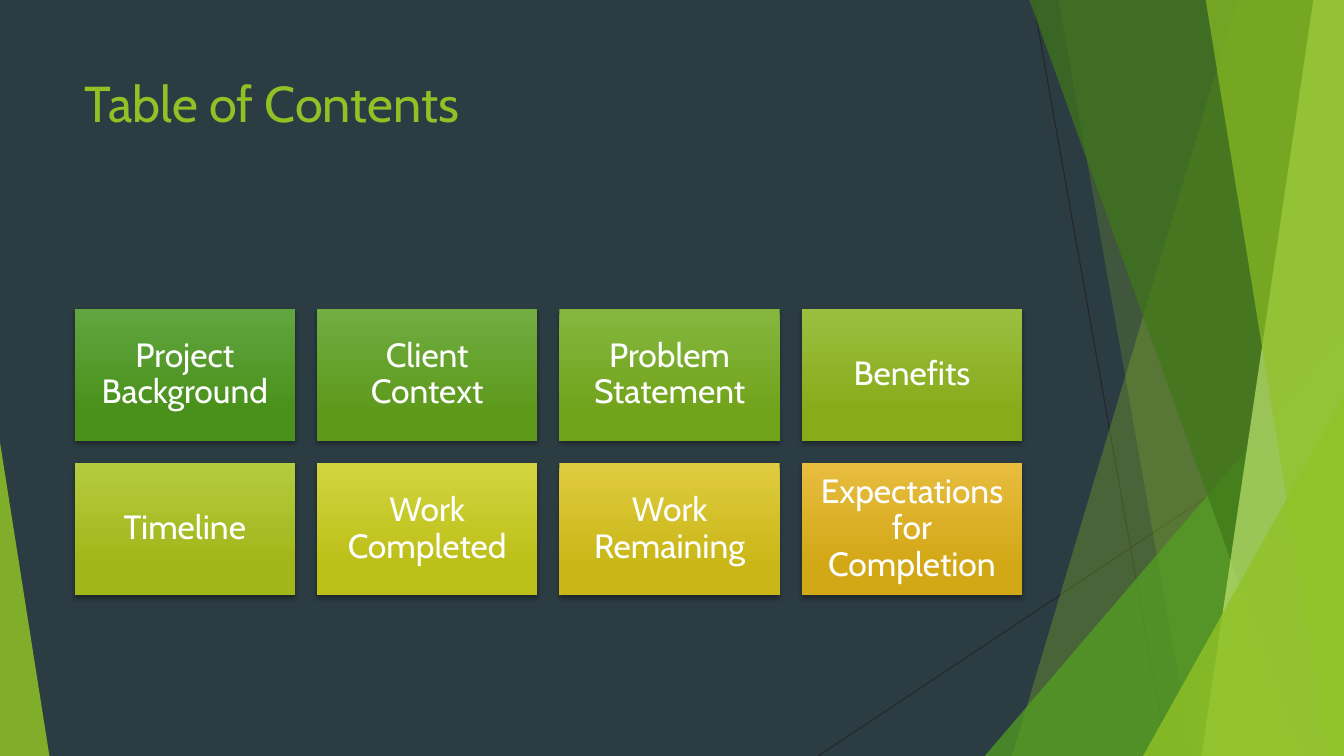
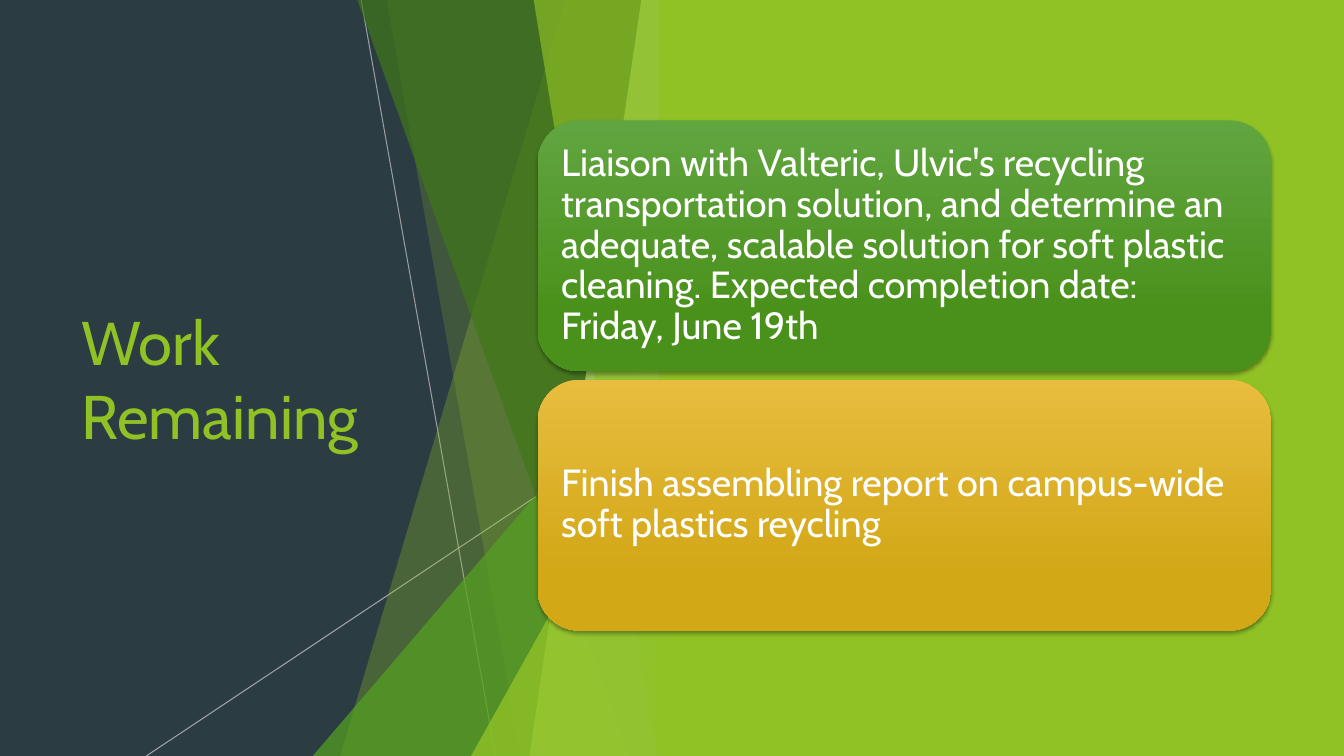
"""Build a contents slide and a remaining-work slide with shared green facets."""
from lxml.etree import SubElement
from pptx import Presentation
from pptx.dml.color import RGBColor
from pptx.enum.shapes import MSO_CONNECTOR, MSO_SHAPE
from pptx.enum.text import MSO_ANCHOR, MSO_AUTO_SIZE, PP_ALIGN
from pptx.oxml.ns import qn
from pptx.util import Pt

WIDTH, HEIGHT, BLEED = 960, 540, -0.6
FONT = "Cabin"
DARK, LIME, GREEN, FOREST, PALE = "2C3C43", "90C226", "54A021", "3F7818", "BFE471"
WHITE, GREY, BLACK = "FFFFFF", "BFBFBF", "262626"
GREEN_CARD, GOLD_CARD = ("61A540", "4A911B"), ("E8BC3E", "D2A817")

BANDS_BACK = [(884.2, 722.9, LIME, 30), (756, 851.8, LIME, 20)]
BANDS_FRONT = [(735.1, 929.5, FOREST, 70), (938.2, 858.2, PALE, 70), (861.1, 949, LIME, 65)]
RAYS = [(738, 0, 834, HEIGHT), (WIDTH, 290, 584.5, HEIGHT)]

TILES = [
    ("Project Background", GREEN_CARD),
    ("Client Context", ("71AD41", "5D9A1C")),
    ("Problem Statement", ("85B740", "71A31B")),
    ("Benefits", ("9ABF40", "87AC1A")),
    ("Timeline", ("B4CB3F", "A1B619")),
    ("Work Completed", ("D2D43F", "BDC018")),
    ("Work Remaining", ("DFCB3F", "CAB717")),
    ("Expectations for Completion", GOLD_CARD),
]
TASKS = [
    ("Liaison with Valteric, Ulvic's recycling transportation solution, and determine an "
     "adequate, scalable solution for soft plastic cleaning. Expected completion date: "
     "Friday, June 19th", GREEN_CARD),
    ("Finish assembling report on campus-wide soft plastics reycling", GOLD_CARD),
]


def rgb(value):
    """Turn a hex string into a colour."""
    return RGBColor.from_string(value)


def set_alpha(shape, percent):
    """Make the solid colours of a shape translucent."""
    for color in shape.element.spPr.iter(qn("a:srgbClr")):
        SubElement(color, qn("a:alpha"), val=str(percent * 1000))


def paint(shape, color, alpha=100):
    """Give a shape a flat fill without outline or shadow."""
    shape.shadow.inherit = False
    shape.fill.solid()
    shape.fill.fore_color.rgb = rgb(color)
    shape.line.fill.background()
    if alpha < 100:
        set_alpha(shape, alpha)


def add_band(shapes, dx, top_x, bottom_x, color, alpha):
    """Draw a slanted band that reaches the right edge of the facets."""
    right = WIDTH + dx
    builder = shapes.build_freeform(Pt(top_x + dx), Pt(BLEED))
    corners = [(right, BLEED), (right, HEIGHT), (bottom_x + dx, HEIGHT)]
    builder.add_line_segments([(Pt(x), Pt(y)) for x, y in corners])
    paint(builder.convert_to_shape(), color, alpha)


def add_triangle(shapes, left, top, right, apex, color, alpha):
    """Draw a triangle standing on the bottom edge of the slide."""
    sp = shapes.add_shape(MSO_SHAPE.ISOSCELES_TRIANGLE, Pt(left), Pt(top),
                          Pt(right - left), Pt(HEIGHT - top))
    sp.adjustments[0] = apex
    paint(sp, color, alpha)


def add_ray(shapes, dx, x1, y1, x2, y2, color, alpha):
    """Draw a thin line across the facets."""
    ray = shapes.add_connector(MSO_CONNECTOR.STRAIGHT, Pt(x1 + dx), Pt(y1), Pt(x2 + dx), Pt(y2))
    ray.line.width = Pt(0.75)
    ray.line.color.rgb = rgb(color)
    if alpha < 100:
        set_alpha(ray, alpha)
    SubElement(ray.element.spPr, qn("a:effectLst"))


def add_facets(s, dx, ray_color, ray_alphas):
    """Draw the overlapping facets, moved sideways by dx."""
    shapes = s.shapes.add_group_shape().shapes
    for ray, alpha in zip(RAYS, ray_alphas):
        add_ray(shapes, dx, *ray, ray_color, alpha)
    for band in BANDS_BACK:
        add_band(shapes, dx, *band)
    add_triangle(shapes, 703.4 + dx, 240, WIDTH + dx, 1, GREEN, 72)
    for band in BANDS_FRONT:
        add_band(shapes, dx, *band)
    add_triangle(shapes, 816.5 + dx, 283, WIDTH + dx, 1, LIME, 80)


def write(shape, text, size, color, align, anchor, margins, spacing=1.0):
    """Put one formatted paragraph into a shape."""
    tf = shape.text_frame
    side, top = Pt(margins[0]), Pt(margins[1])
    frame = {"word_wrap": True, "auto_size": MSO_AUTO_SIZE.NONE, "vertical_anchor": anchor,
             "margin_left": side, "margin_right": side, "margin_top": top, "margin_bottom": top}
    for name, value in frame.items():
        setattr(tf, name, value)
    p = tf.paragraphs[0]
    p.alignment, p.line_spacing = align, spacing
    r = p.add_run()
    r.text = text
    for name, value in {"name": FONT, "size": Pt(size)}.items():
        setattr(r.font, name, value)
    r.font.color.rgb = rgb(color)


def add_card(s, kind, box, text, colors, size, align, margin):
    """Draw a gradient card with a soft shadow and its text."""
    sp = s.shapes.add_shape(kind, *map(Pt, box))
    sp.line.fill.background()
    sp.fill.gradient()
    sp.fill.gradient_angle = 270
    for stop, position, color in zip(sp.fill.gradient_stops, (0, 0.78), colors):
        stop.position = position
        stop.color.rgb = rgb(color)
    sp.shadow.inherit = False
    shadow = SubElement(sp.element.spPr.find(qn("a:effectLst")), qn("a:outerShdw"),
                        blurRad=str(Pt(3)), dist=str(Pt(2)), dir="5400000", rotWithShape="0")
    color = SubElement(shadow, qn("a:srgbClr"), val="000000")
    SubElement(color, qn("a:alpha"), val="35000")
    write(sp, text, size, WHITE, align, MSO_ANCHOR.MIDDLE, (margin, margin), 0.9)


def add_titled_slide(prs, text, box, size, anchor):
    """Add a title-only slide and format its title."""
    s = prs.slides.add_slide(prs.slide_layouts[5])
    title = s.shapes.title
    title.left, title.top, title.width, title.height = map(Pt, box)
    write(title, text, size, LIME, PP_ALIGN.LEFT, anchor, (7.2, 3.6))
    return s


def add_contents(prs):
    """Build the table of contents as a grid of tiles."""
    left, top, width, columns = 53.3, 220.5, 676.8, 4
    s = add_titled_slide(prs, "Table of Contents", (left, 48, width, 104), 36, MSO_ANCHOR.TOP)
    add_facets(s, 0, BLACK, (100, 100))
    add_triangle(s.shapes, 0, 316, 35.3, 0, LIME, 85)
    tile_w = width / (columns + 0.1 * (columns - 1))
    tile_h, gap = 0.6 * tile_w, 0.1 * tile_w
    for i, (text, colors) in enumerate(TILES):
        row, column = divmod(i, columns)
        box = (left + column * (tile_w + gap), top + row * (tile_h + gap), tile_w, tile_h)
        add_card(s, MSO_SHAPE.RECTANGLE, box, text, colors, 24, PP_ALIGN.CENTER, 7.2)


def add_remaining_work(prs):
    """Build the remaining work as two stacked cards."""
    s = add_titled_slide(prs, "Work Remaining", (51, 108.5, 279.5, 322.5), 44, MSO_ANCHOR.MIDDLE)
    add_facets(s, -WIDTH / 2, GREY, (75, 80))
    panel_left = 470.7
    panel = s.shapes.add_shape(MSO_SHAPE.RECTANGLE, Pt(panel_left), 0,
                               Pt(WIDTH - panel_left), Pt(HEIGHT))
    paint(panel, LIME)
    for i, (text, colors) in enumerate(TASKS):
        box = (384, 86 + i * 185.2, 524, 179.2)
        add_card(s, MSO_SHAPE.ROUNDED_RECTANGLE, box, text, colors, 27, PP_ALIGN.LEFT, 8.1)


def main():
    """Create and save the presentation."""
    prs = Presentation()
    prs.slide_width, prs.slide_height = Pt(WIDTH), Pt(HEIGHT)
    background = prs.slide_master.background.fill
    background.solid()
    background.fore_color.rgb = rgb(DARK)
    add_contents(prs)
    add_remaining_work(prs)
    prs.save("out.pptx")


if __name__ == "__main__":
    main()
